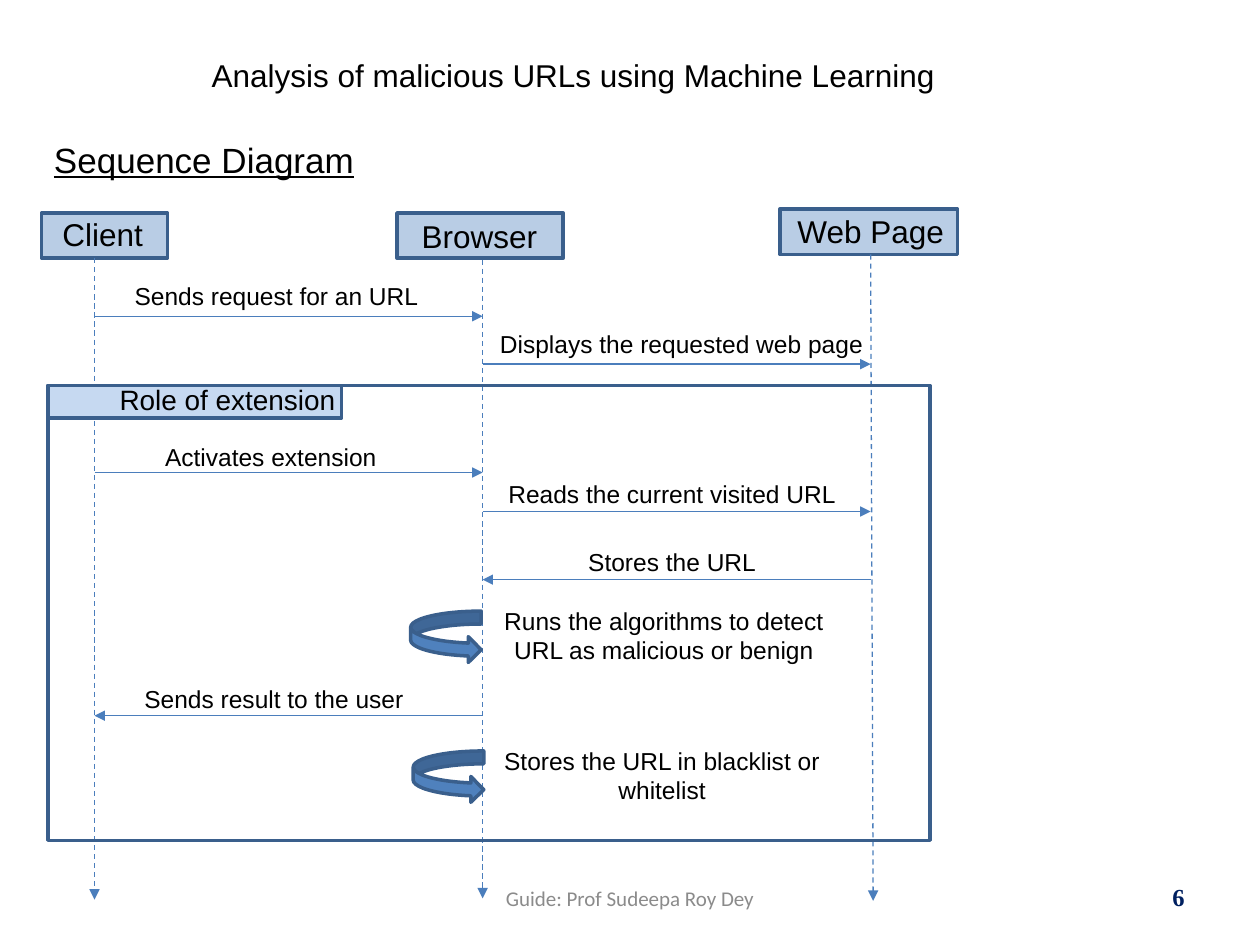
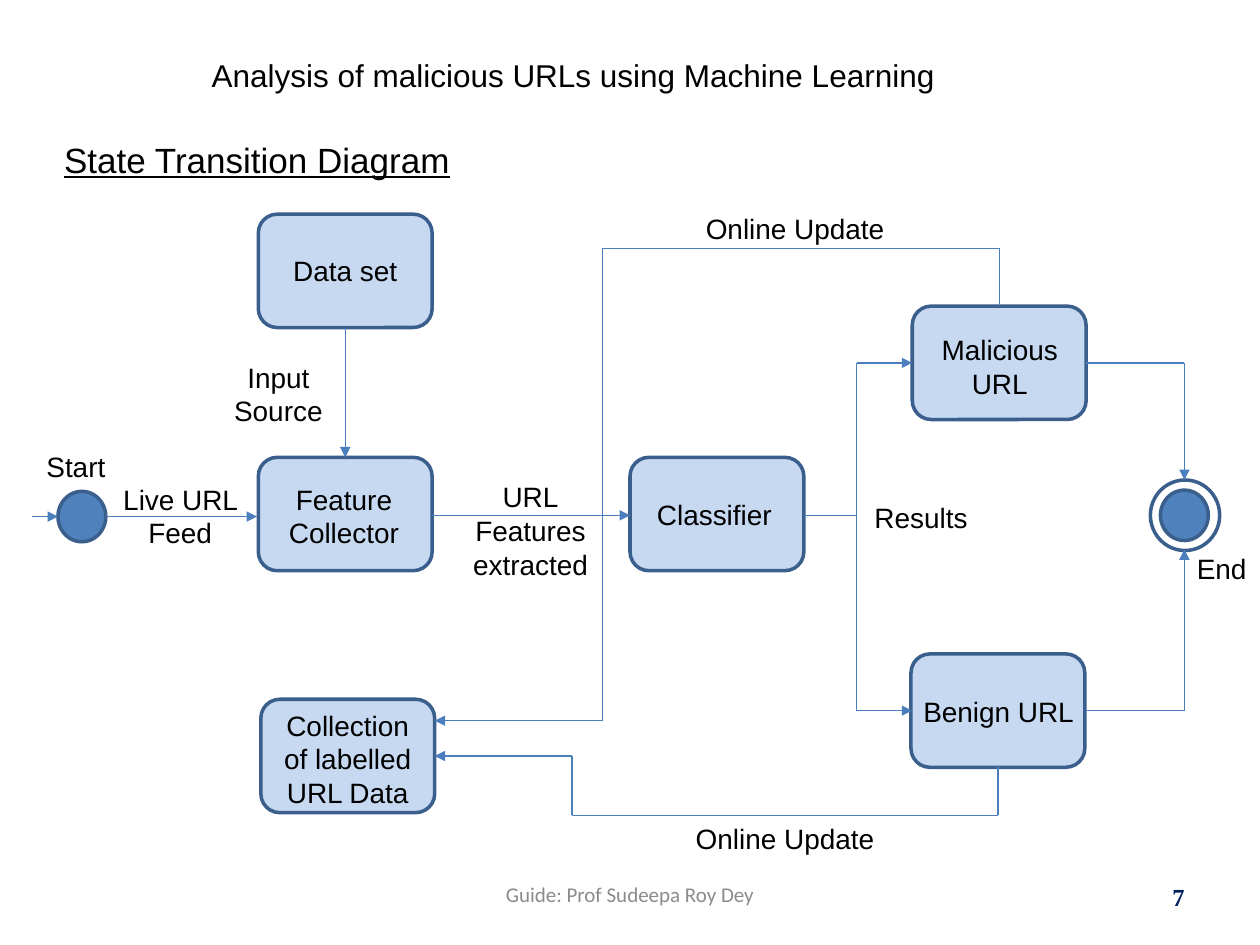
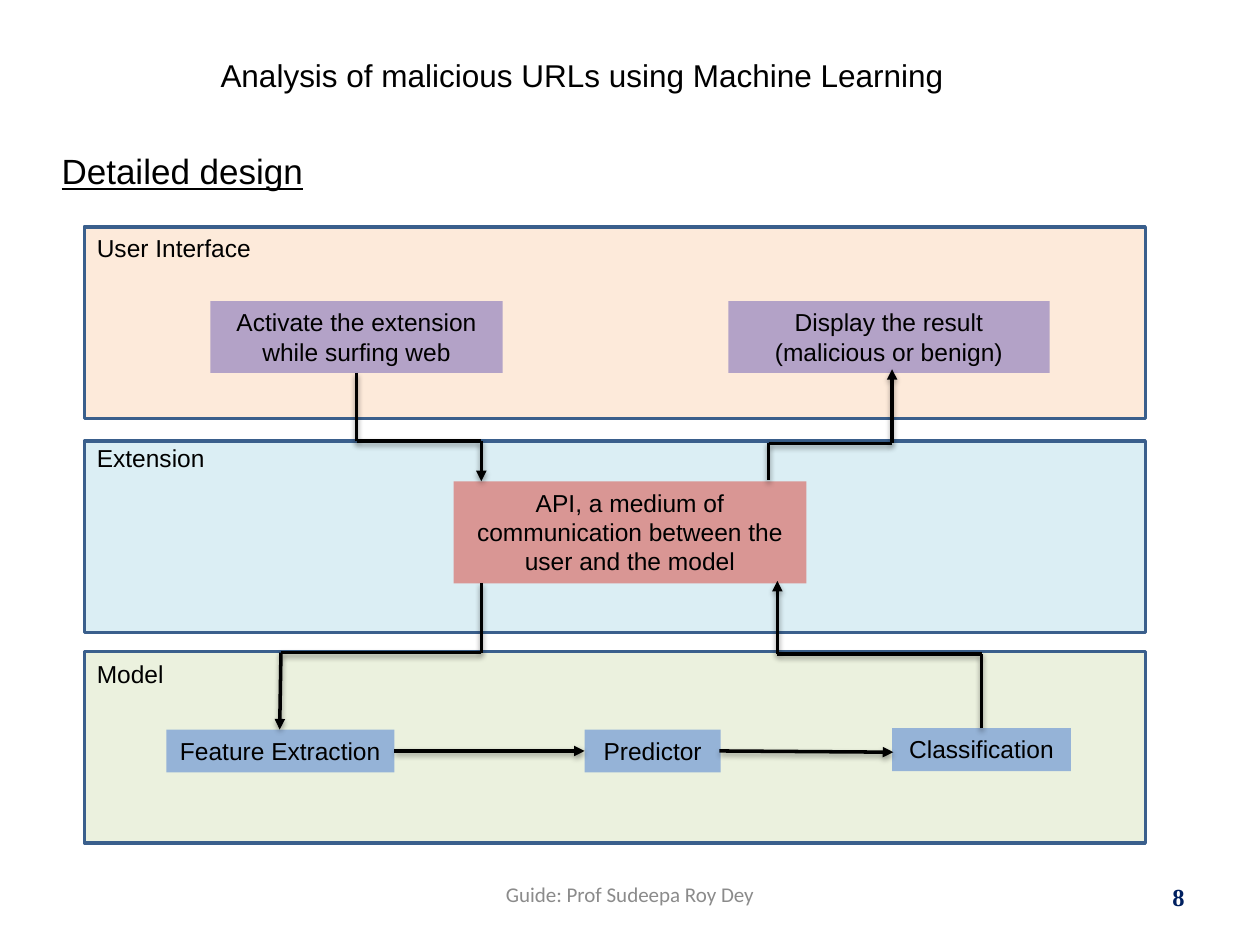
"""Build three design slides: sequence, state transition and layered design."""
from itertools import pairwise

from lxml.etree import SubElement
from pptx import Presentation
from pptx.dml.color import RGBColor
from pptx.enum.dml import MSO_LINE as Dash
from pptx.enum.shapes import MSO_CONNECTOR as Connector, MSO_SHAPE as Shape
from pptx.enum.text import MSO_ANCHOR as Anchor, PP_ALIGN as Align
from pptx.oxml.ns import qn
from pptx.util import Inches, Pt

BLACK = RGBColor(0x00, 0x00, 0x00)
NAVY = RGBColor(0x00, 0x20, 0x60)
GREY = RGBColor(0x8B, 0x8B, 0x8B)
OUTLINE = RGBColor(0x3A, 0x5F, 0x8C)
LINE_BLUE = RGBColor(0x4B, 0x7E, 0xBC)
SOLID_BLUE = RGBColor(0x4F, 0x81, 0xBD)
HEADER_BLUE = RGBColor(0xB9, 0xCD, 0xE5)
PALE_BLUE = RGBColor(0xC6, 0xD9, 0xF1)
PEACH = RGBColor(0xFD, 0xEA, 0xDA)
AQUA = RGBColor(0xDB, 0xEE, 0xF4)
PALE_GREEN = RGBColor(0xEB, 0xF1, 0xDE)
PURPLE = RGBColor(0xB3, 0xA2, 0xC7)
ROSE = RGBColor(0xD9, 0x96, 0x94)
STEEL = RGBColor(0x95, 0xB3, 0xD7)

TITLE = "Analysis of malicious URLs using Machine Learning"
GUIDE = "Guide: Prof Sudeepa Roy Dey"


def write_text(shape, text, size=14, font="Arial", color=BLACK, align=Align.CENTER,
               bold=False, underline=False, spacing=None, indent=0.1):
    """Fill a shape with text, one paragraph for each line."""
    frame = shape.text_frame
    frame.word_wrap = True
    frame.vertical_anchor = Anchor.TOP
    frame.margin_left = Inches(indent)
    for index, line in enumerate(text.split("\n")):
        paragraph = frame.add_paragraph() if index else frame.paragraphs[0]
        paragraph.alignment = align
        if spacing:
            paragraph.line_spacing = spacing
        run = paragraph.add_run()
        run.text = line
        run.font.size = Pt(size)
        run.font.name = font
        run.font.color.rgb = color
        run.font.bold = bold
        run.font.underline = underline


def add_label(slide, box, text, **style):
    """Add a text box at left, top, width, height in inches."""
    label = slide.shapes.add_textbox(*map(Inches, box))
    write_text(label, text, **style)


def add_block(slide, box, fill=None, kind=Shape.RECTANGLE, outline=OUTLINE):
    """Add a preset shape, hollow when no fill is given."""
    shape = slide.shapes.add_shape(kind, *map(Inches, box))
    shape.shadow.inherit = False
    if fill is None:
        shape.fill.background()
    else:
        shape.fill.solid()
        shape.fill.fore_color.rgb = fill
    if outline is None:
        shape.line.fill.background()
    else:
        shape.line.color.rgb = outline
        shape.line.width = Pt(2)
    return shape


def add_drop_shadow(effects):
    """Put a soft downward shadow in an effect list."""
    shadow = SubElement(effects, qn("a:outerShdw"), blurRad="40000", dist="20000",
                        dir="5400000", rotWithShape="0")
    color = SubElement(shadow, qn("a:srgbClr"), val="000000")
    SubElement(color, qn("a:alpha"), val="38000")


def add_route(slide, *points, color=LINE_BLUE, width=0.75, dash=None, arrow=True,
              shadow=False):
    """Join points by straight lines, with an arrowhead at the last one."""
    for start, end in pairwise(points):
        line = slide.shapes.add_connector(Connector.STRAIGHT, *map(Inches, start + end))
        line.line.color.rgb = color
        line.line.width = Pt(width)
        if dash:
            line.line.dash_style = dash
        if arrow and end is points[-1]:
            SubElement(line.line._get_or_add_ln(), qn("a:tailEnd"), type="triangle")
        effects = SubElement(line._element.spPr, qn("a:effectLst"))
        if shadow:
            add_drop_shadow(effects)


def add_page(presentation, number, heading, heading_box, title_indent=0.43,
             guide_top=6.95, heading_align=Align.LEFT):
    """Add a slide with its title, heading, guide and number."""
    slide = presentation.slides.add_slide(presentation.slide_layouts[6])
    add_label(slide, (7.17, 6.95, 2.33, 0.4), str(number), font="Times New Roman",
              color=NAVY, bold=True, align=Align.RIGHT)
    add_label(slide, heading_box, heading, size=20, underline=True, spacing=0.93,
              align=heading_align)
    add_label(slide, (3.42, guide_top, 3.16, 0.4), GUIDE, size=12, font="Calibri",
              color=GREY)
    add_label(slide, (1.25, 0.42, 6.58, 0.4), TITLE, size=18, spacing=0.93,
              align=Align.LEFT, indent=title_indent)
    return slide


def build_sequence(presentation):
    """Draw the sequence diagram."""
    slide = add_page(presentation, 6, "Sequence Diagram", (0.33, 1.08, 9.01, 5.78),
                     guide_top=6.98)
    client, browser, page = 0.75, 3.83, 6.91
    participants = [
        ("Client", (0.33, 1.69, 1, 0.36), (0.23, 1.66, 1.17, 0.42)),
        ("Browser", (3.15, 1.69, 1.32, 0.36), (3.1, 1.67, 1.41, 0.42)),
        ("Web Page", (6.19, 1.66, 1.41, 0.36), (6.22, 1.63, 1.38, 0.4)),
    ]
    for name, box, label_box in participants:
        add_block(slide, box, HEADER_BLUE)
        add_label(slide, label_box, name, size=18)
    lifelines = [((client, 2.05), (client, 7.14)), ((browser, 2.06), (browser, 7.13)),
                 ((page, 2.02), (6.93, 7.15))]
    for start, end in lifelines:
        add_route(slide, start, end, dash=Dash.DASH)

    add_block(slide, (0.38, 3.06, 7, 3.61))
    add_block(slide, (0.38, 3.06, 2.33, 0.26), PALE_BLUE)
    add_label(slide, (0.52, 2.99, 2.57, 0.37), "Role of extension", size=16)

    messages = [
        ("Sends request for an URL", client, browser, 2.51, (0.75, 2.18, 2.89, 0.34)),
        ("Displays the requested web page", browser, page, 2.89, (3.83, 2.56, 3.16, 0.34)),
        ("Activates extension", client, browser, 3.75, (0.8, 3.46, 2.7, 0.34)),
        ("Reads the current visited URL", browser, page, 4.06, (3.92, 3.75, 2.83, 0.34)),
        ("Stores the URL", page, browser, 4.6, (3.92, 4.29, 2.83, 0.34)),
        ("Sends result to the user", browser, client, 5.68, (0.97, 5.38, 2.41, 0.34)),
    ]
    for text, sender, receiver, y, label_box in messages:
        add_route(slide, (sender, y), (receiver, y))
        add_label(slide, label_box, text)

    self_calls = [
        ("Runs the algorithms to detect URL as malicious or benign", 3.26, 4.85,
         (3.79, 4.76, 2.96, 0.57)),
        ("Stores the URL in blacklist or whitelist", 3.28, 5.96, (3.82, 5.87, 2.87, 0.57)),
    ]
    for text, left, top, label_box in self_calls:
        add_block(slide, (left, top, 0.56, 0.41), SOLID_BLUE, Shape.CURVED_RIGHT_ARROW)
        add_label(slide, label_box, text)


def build_states(presentation):
    """Draw the state transition diagram."""
    slide = add_page(presentation, 7, "State Transition Diagram", (0.41, 1.08, 9.18, 5.85))
    states = [
        ("Feature Collector", 2.05, 3.63, (2.04, 3.78, 1.38, 0.64)),
        ("Classifier", 5, 3.63, (4.99, 3.9, 1.36, 0.37)),
        ("Data set", 2.05, 1.7, (1.79, 1.96, 1.9, 0.37)),
        ("Collection of labelled URL Data", 2.07, 5.55, (2.08, 5.57, 1.36, 0.91)),
        ("Benign URL", 7.23, 5.19, (7.1, 5.46, 1.65, 0.37)),
        ("Malicious URL", 7.24, 2.43, (7.22, 2.59, 1.43, 0.64)),
    ]
    for name, left, top, label_box in states:
        add_block(slide, (left, top, 1.38, 0.9), PALE_BLUE, Shape.ROUNDED_RECTANGLE)
        add_label(slide, label_box, name, size=16)
    add_block(slide, (0.46, 3.9, 0.38, 0.4), SOLID_BLUE, Shape.OVAL)
    add_block(slide, (9.21, 3.89, 0.38, 0.4), SOLID_BLUE, Shape.OVAL)
    add_block(slide, (9.13, 3.81, 0.55, 0.56), kind=Shape.OVAL)

    routes = [
        [(0.25, 4.1), (0.46, 4.1)],
        [(0.84, 4.1), (2.04, 4.1)],
        [(2.74, 2.6), (2.74, 3.63)],
        [(3.43, 4.09), (5, 4.09)],
        [(6.8, 2.88), (7.24, 2.88)],
        [(6.8, 5.64), (7.24, 5.64)],
        [(8.62, 2.88), (9.4, 2.88), (9.4, 3.81)],
        [(8.62, 5.64), (9.4, 5.64), (9.4, 4.36)],
        [(7.92, 6.09), (7.92, 6.47), (4.54, 6.47), (4.54, 6), (3.45, 6)],
        [(7.93, 2.43), (7.93, 1.97), (4.78, 1.97), (4.78, 5.72), (3.45, 5.72)],
    ]
    for points in routes:
        add_route(slide, *points)
    add_route(slide, (6.38, 4.09), (6.8, 4.09), arrow=False)
    add_route(slide, (6.8, 5.64), (6.8, 2.88), arrow=False)

    transitions = [
        ("Input Source", (1.63, 2.81, 1.16, 0.64)),
        ("Live URL Feed", (0.71, 3.78, 1.44, 0.64)),
        ("URL\nFeatures extracted", (3.47, 3.76, 1.48, 0.91)),
        ("Results", (6.68, 3.92, 1.26, 0.37)),
        ("Online Update", (5.29, 6.47, 1.88, 0.37)),
        ("Online Update", (5.37, 1.63, 1.88, 0.37)),
    ]
    for text, box in transitions:
        add_label(slide, box, text, size=16)
    add_label(slide, (9.4, 4.33, 0.61, 0.37), "End", size=16, align=Align.LEFT)
    add_label(slide, (0.27, 3.52, 0.78, 0.37), "Start", size=16, align=Align.LEFT)


def build_layers(presentation):
    """Draw the three layers of the detailed design."""
    slide = add_page(presentation, 8, "Detailed design", (0.39, 1.17, 9.26, 5.7),
                     title_indent=0.5, heading_align=Align.JUSTIFY)
    layers = [("User Interface", 1.8, 1.8, PEACH), ("Extension", 3.5, 3.47, AQUA),
              ("Model", 5.17, 5.18, PALE_GREEN)]
    for name, top, label_top, fill in layers:
        add_block(slide, (0.67, top, 8.42, 1.52), fill)
        add_label(slide, (0.67, label_top, 1.57, 0.34), name, align=Align.LEFT)

    components = [
        ("Activate the extension while surfing web", (1.67, 2.39, 2.32, 0.57), PURPLE),
        ("Display the result (malicious or benign)", (5.78, 2.39, 2.55, 0.57), PURPLE),
        ("API, a medium of communication between the user and the model",
         (3.6, 3.82, 2.8, 0.81), ROSE),
        ("Feature Extraction", (1.32, 5.79, 1.81, 0.34), STEEL),
        ("Classification", (7.08, 5.78, 1.42, 0.34), STEEL),
        ("Predictor", (4.64, 5.79, 1.08, 0.34), STEEL),
    ]
    for text, box, fill in components:
        write_text(add_block(slide, box, fill, outline=None), text)

    flows = [
        [(2.83, 2.96), (2.83, 3.5), (3.82, 3.5), (3.82, 3.82)],
        [(3.82, 4.63), (3.82, 5.18), (2.23, 5.18), (2.22, 5.79)],
        [(3.13, 5.96), (4.64, 5.96)],
        [(5.71, 5.96), (7.09, 5.97)],
        [(7.79, 5.78), (7.79, 5.19), (6.17, 5.19), (6.17, 4.61)],
        [(6.1, 3.81), (6.1, 3.52), (7.08, 3.52), (7.08, 2.93)],
    ]
    for points in flows:
        add_route(slide, *points, color=BLACK, width=2, shadow=True)


def main():
    """Build and save the presentation."""
    presentation = Presentation()
    presentation.slide_width = Inches(10)
    presentation.slide_height = Inches(7.5)
    build_sequence(presentation)
    build_states(presentation)
    build_layers(presentation)
    presentation.save("out.pptx")


main()
